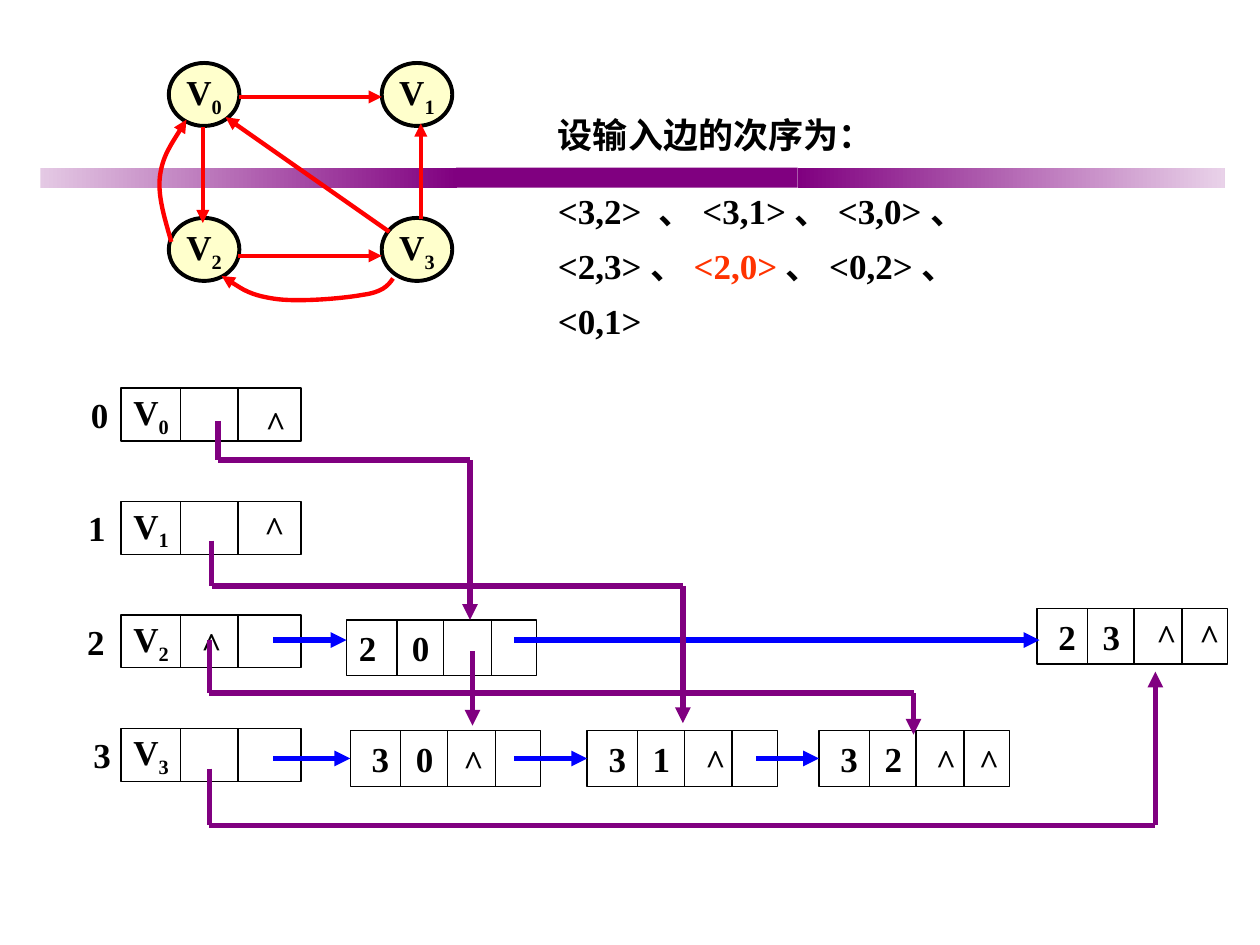
from itertools import pairwise

from lxml import etree
from pptx import Presentation
from pptx.dml.color import RGBColor
from pptx.enum.shapes import MSO_CONNECTOR, MSO_SHAPE
from pptx.enum.text import MSO_ANCHOR, PP_ALIGN
from pptx.oxml.ns import qn
from pptx.util import Inches, Pt

STRAIGHT = MSO_CONNECTOR.STRAIGHT
RECTANGLE, OVAL = MSO_SHAPE.RECTANGLE, MSO_SHAPE.OVAL
LEFT, CENTER = PP_ALIGN.LEFT, PP_ALIGN.CENTER
TOP, MIDDLE = MSO_ANCHOR.TOP, MSO_ANCHOR.MIDDLE

THEME = {
    "font": "Times New Roman", "size": 20,
    "ink": "000000", "accent": "FF3300", "vertex": "FFFFCC",
    "edge": "FF0000", "out": "0000FF", "in": "800080",
    "band": "800080", "fade_left": "E4C9E4", "fade_right": "E9D2E9",
    "thin": 0.75, "ring": 2.25, "edge_width": 2.5, "link_width": 3,
}

# Content: background band as (left, width, colours)
BAND_TOP, BAND_HEIGHT = 1.33, 0.16
BAND = [
    (0.32, 3.31, ("fade_left", "band")),
    (3.62, 2.71, ("band",)),
    (6.33, 3.39, ("band", "fade_right")),
]

# Content: input order of the edges, as (text, colour) runs
ORDER_TITLE = [("设输入边的次序为：", "ink")]
ORDER_EDGES = [
    ("<3,2> 、<3,1>、<3,0>、 <2,3>、", "ink"),
    ("<2,0>", "accent"),
    ("、<0,2>、<0,1>", "ink"),
]

# Content: directed graph
VERTEX_SIZE = (0.56, 0.5)
VERTEX_LEFTS, VERTEX_TOPS = (1.34, 3.03), (0.5, 1.73)
EDGES = [
    [(1.9, 0.77), (3.03, 0.77)],
    [(1.89, 2.03), (3.03, 2.03)],
    [(1.61, 1.01), (1.61, 1.77)],
    [(3.09, 1.84), (1.79, 0.93)],
    [(3.34, 1.74), (3.34, 0.98)],
]
# Each curve is a start followed by triples of Bezier points
CURVES = [
    [(3.12, 2.21), (3.08, 2.27), (3.03, 2.32), (2.88, 2.34), (2.72, 2.37),
     (2.35, 2.4), (2.17, 2.37), (1.98, 2.34), (1.87, 2.26), (1.76, 2.19)],
    [(1.36, 1.92), (1.31, 1.74), (1.25, 1.56), (1.27, 1.4), (1.29, 1.24),
     (1.39, 1.1), (1.48, 0.95)],
]

# Content: vertex records, one per row
RECORD_LEFT, RECORD_TOP, RECORD_PITCH = 0.96, 3.08, 0.9
RECORD_SIZE, RECORD_CUTS = (1.43, 0.42), (0.47, 0.93)
INDEX_LEFTS = [0.62, 0.6, 0.59, 0.64]

# Content: arc nodes as tail, head, left, top, text inset, tab stop
NODE_SIZE, NODE_CUTS = (1.51, 0.44), (0.4, 0.77, 1.15)
NODES = [
    ("2", "0", 2.75, 4.92, 0.1, 0.42),
    ("2", "3", 8.23, 4.83, 0.17, 0.35),
    ("3", "0", 2.78, 5.8, 0.17, 0.35),
    ("3", "1", 4.66, 5.8, 0.17, 0.35),
    ("3", "2", 6.5, 5.8, 0.17, 0.35),
]
NULL_MARKS = [
    (2.01, 3.14), (2, 3.97), (1.5, 4.89), (7.33, 5.82), (7.67, 5.82),
    (9.08, 4.83), (9.42, 4.83), (3.58, 5.83), (5.5, 5.82),
]

# Content: links between records and nodes
OUT_LINKS = [[(2.17, 5.08), (2.75, 5.08)], [(4.08, 5.08), (8.25, 5.08)]]
LAST_ROW_STARTS = {("3", "0"): 2.17, ("3", "1"): 4.08, ("3", "2"): 6}
IN_LINKS = [
    [(1.73, 3.34), (1.73, 3.65), (3.73, 3.65), (3.73, 4.92)],
    [(3.75, 5.17), (3.75, 5.76)],
    [(1.68, 4.29), (1.68, 4.65), (5.42, 4.65), (5.42, 5.74)],
    [(1.66, 5.08), (1.66, 5.5), (7.25, 5.5), (7.25, 5.83)],
    [(1.66, 6.1), (1.66, 6.55), (9.17, 6.55), (9.17, 5.33)],
]

deck = Presentation()
deck.slide_width, deck.slide_height = Inches(10), Inches(7.5)
page = deck.slides.add_slide(deck.slide_layouts[6])


def color(name):
    return RGBColor.from_string(THEME[name])


def style_line(shape, name, width, arrow=False):
    shape.line.color.rgb = color(name)
    shape.line.width = Pt(THEME[width])
    if arrow:
        etree.SubElement(shape.line._get_or_add_ln(), qn("a:tailEnd"), type="triangle")


def set_font(para, align=LEFT):
    para.alignment = align
    font = para.font
    font.name, font.size, font.bold = THEME["font"], Pt(THEME["size"]), True
    font.color.rgb = color("ink")


def setup_frame(shape, anchor, wrap):
    frame = shape.text_frame
    frame.word_wrap, frame.vertical_anchor = wrap, anchor
    return frame.paragraphs[0]


def add_box(kind, left, top, size):
    box = page.shapes.add_shape(kind, *map(Inches, (left, top, *size)))
    box.shadow.inherit = False
    box.fill.background()
    return box


def add_label(text, left, top, width, align=LEFT, anchor=TOP):
    box = page.shapes.add_textbox(*map(Inches, (left, top, width, 0.44)))
    para = setup_frame(box, anchor, False)
    para.text = text
    set_font(para, align)


def write_vertex(shape, index, align):
    para = setup_frame(shape, MIDDLE, False)
    para.add_run().text = "V"
    span = para.add_run()
    span.text = str(index)
    span.font._element.set("baseline", "-25000")
    set_font(para, align)


def add_line(start, end, name, width, arrow=False):
    line = page.shapes.add_connector(STRAIGHT, *map(Inches, (*start, *end)))
    etree.SubElement(line._element.spPr, qn("a:effectLst"))
    style_line(line, name, width, arrow)
    return line


def add_route(points, name, width):
    legs = list(pairwise(points))
    for number, (start, end) in enumerate(legs, 1):
        add_line(start, end, name, width, number == len(legs))


def add_curve(points):
    builder = page.shapes.build_freeform(*map(Inches, points[0]), scale=1.0)
    builder.add_line_segments([tuple(map(Inches, p)) for p in points[1:]], close=False)
    curve = builder.convert_to_shape()
    curve.shadow.inherit = False
    curve.fill.background()
    style_line(curve, "edge", "edge_width", True)
    # Merge each triple of line points into one Bezier segment
    segments = list(curve._element.iter(qn("a:lnTo")))
    for first in range(0, len(segments), 3):
        triple = segments[first:first + 3]
        bezier = etree.Element(qn("a:cubicBezTo"))
        triple[0].addprevious(bezier)
        for segment in triple:
            bezier.append(segment[0])
            segment.getparent().remove(segment)


def add_cells(left, top, size, cuts):
    box = add_box(RECTANGLE, left, top, size)
    style_line(box, "ink", "thin")
    for cut in cuts:
        add_line((left + cut, top), (left + cut, top + size[1]), "ink", "thin")
    return box


# Background band
for left, width, names in BAND:
    band = add_box(RECTANGLE, left, BAND_TOP, (width, BAND_HEIGHT))
    band.line.fill.background()
    if len(names) == 1:
        band.fill.solid()
        band.fill.fore_color.rgb = color(names[0])
    else:
        band.fill.gradient()
        band.fill.gradient_angle = 0
        for stop, name in zip(band.fill.gradient_stops, names):
            stop.color.rgb = color(name)

# Vertex records
for index, index_left in enumerate(INDEX_LEFTS):
    top = RECORD_TOP + index * RECORD_PITCH
    write_vertex(add_cells(RECORD_LEFT, top, RECORD_SIZE, RECORD_CUTS), index, LEFT)
    add_label(str(index), index_left, top - 0.01, 0.34, CENTER, MIDDLE)

# Arc nodes, with the links of the last row joined to them
for tail, head, left, top, inset, stop in NODES:
    box = add_cells(left, top, NODE_SIZE, NODE_CUTS)
    box.text_frame.margin_left = Inches(inset)
    para = setup_frame(box, MIDDLE, True)
    para.text = f"{tail}\t{head}"
    tabs = etree.SubElement(para._p.get_or_add_pPr(), qn("a:tabLst"))
    etree.SubElement(tabs, qn("a:tab"), pos=str(Inches(stop)), algn="l")
    set_font(para)
    if (tail, head) in LAST_ROW_STARTS:
        middle = top + NODE_SIZE[1] / 2
        start = (LAST_ROW_STARTS[tail, head], middle)
        add_line(start, (left, middle), "out", "link_width", True).end_connect(box, 1)
for left, top in NULL_MARKS:
    add_label("^", left, top, 0.36)

# Remaining links
for name, links in (("out", OUT_LINKS), ("in", IN_LINKS)):
    for points in links:
        add_route(points, name, "link_width")

# Input order
order = page.shapes.add_textbox(*map(Inches, (4.33, 0.75, 3.75, 2.01)))
title = setup_frame(order, TOP, True)
edge_list = order.text_frame.add_paragraph()
edge_list.space_before = Pt(12.5)
for para, spans in ((title, ORDER_TITLE), (edge_list, ORDER_EDGES)):
    para.line_spacing = 1.3
    for text, name in spans:
        span = para.add_run()
        span.text = text
        span.font.color.rgb = color(name)
    set_font(para)

# Directed graph
corners = [(left, top) for top in VERTEX_TOPS for left in VERTEX_LEFTS]
for index, (left, top) in enumerate(corners):
    vertex = add_box(OVAL, left, top, VERTEX_SIZE)
    vertex.fill.solid()
    vertex.fill.fore_color.rgb = color("vertex")
    style_line(vertex, "ink", "ring")
    write_vertex(vertex, index, CENTER)
for points in EDGES:
    add_route(points, "edge", "edge_width")
for points in CURVES:
    add_curve(points)

deck.save("out.pptx")
